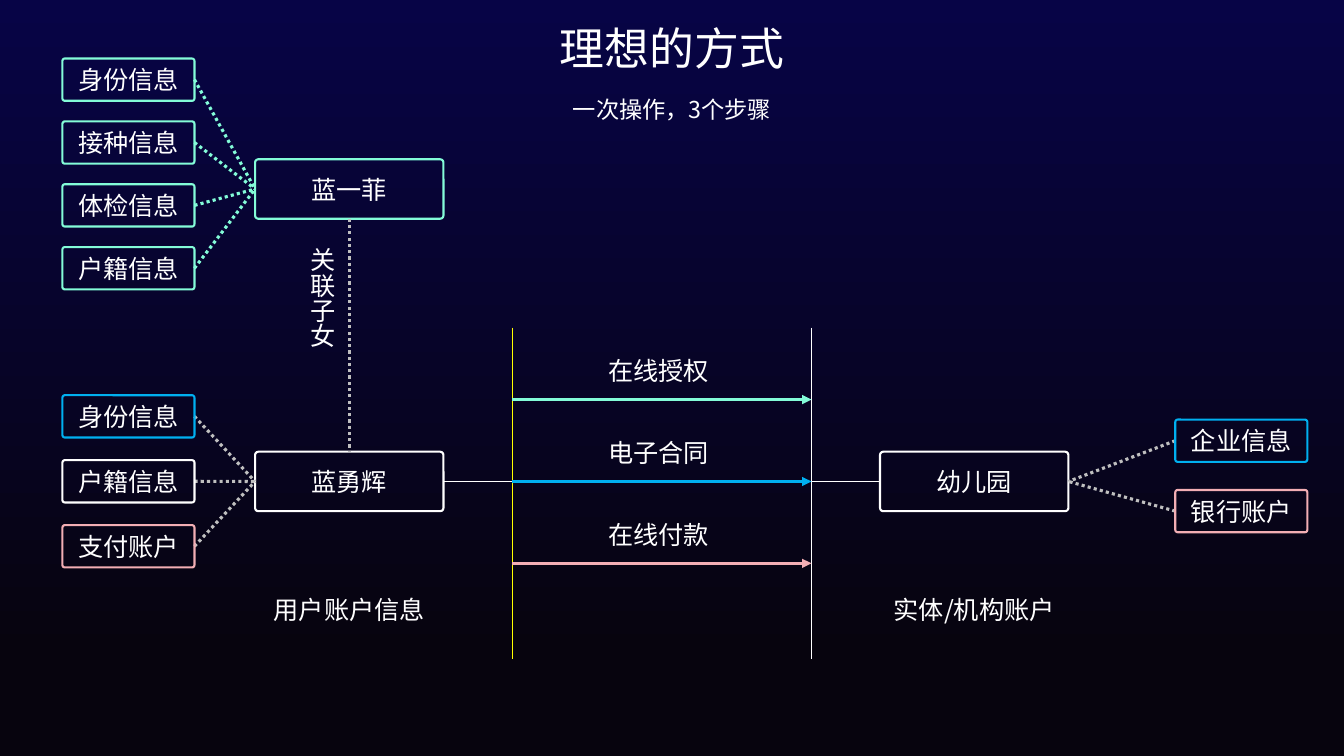
from dataclasses import dataclass

from pptx import Presentation
from pptx.dml.color import RGBColor
from pptx.enum.dml import MSO_LINE
from pptx.enum.shapes import MSO_CONNECTOR, MSO_SHAPE
from pptx.enum.text import MSO_ANCHOR, PP_ALIGN
from pptx.oxml.ns import qn
from pptx.util import Pt
from lxml.etree import SubElement


@dataclass(frozen=True)
class Theme:
    font: str = "Noto Sans CJK SC"
    title_size: float = 32
    subtitle_size: float = 16.6
    body_size: float = 18
    sky: str = "070446"
    night: str = "07040E"
    white: str = "FFFFFF"
    gray: str = "BFBFBF"
    yellow: str = "FFFF00"
    mint: str = "83FCD8"
    blue: str = "00B0F0"
    pink: str = "F2AEB4"


class Diagram:
    """Draws themed elements on one page, with all lengths in points."""

    def __init__(self, page, theme):
        self.page = page
        self.theme = theme

    def background(self):
        fill = self.page.background.fill
        fill.gradient()
        fill.gradient_angle = 270
        stops = ((0, self.theme.sky), (0.87, self.theme.night))
        for stop, (position, color) in zip(fill.gradient_stops, stops):
            stop.position = position
            stop.color.rgb = RGBColor.from_string(color)

    def set_text(self, box, text, size, anchor, spacing=1.0):
        frame = box.text_frame
        frame.word_wrap = True
        frame.vertical_anchor = anchor
        para = frame.paragraphs[0]
        para.text = text
        para.alignment = PP_ALIGN.CENTER
        para.line_spacing = spacing
        para.space_before = Pt(0)
        para.font.name = self.theme.font
        para.font.size = Pt(size)
        para.font.color.rgb = RGBColor.from_string(self.theme.white)
        properties = para._p.pPr.find(qn("a:defRPr"))
        SubElement(properties, qn("a:ea"), typeface=self.theme.font)

    def title(self, text, left, top, width, height):
        box = self.page.shapes.title
        box.left, box.top, box.width, box.height = map(Pt, (left, top, width, height))
        self.set_text(box, text, self.theme.title_size, MSO_ANCHOR.MIDDLE, 0.9)

    def label(self, text, left, top, width, height, size=None,
              anchor=MSO_ANCHOR.TOP, spacing=1.0, vertical=False):
        box = self.page.shapes.add_textbox(*map(Pt, (left, top, width, height)))
        self.set_text(box, text, size or self.theme.body_size, anchor, spacing)
        if vertical:
            box.text_frame._txBody.bodyPr.set("vert", "eaVert")

    def card(self, text, left, middle, width, height, color):
        box = self.page.shapes.add_shape(
            MSO_SHAPE.ROUNDED_RECTANGLE,
            *map(Pt, (left, middle - height / 2, width, height)))
        box.adjustments[0] = 0.055
        box.shadow.inherit = False
        box.fill.background()
        box.line.color.rgb = RGBColor.from_string(color)
        box.line.width = Pt(1.5)
        self.set_text(box, text, self.theme.body_size, MSO_ANCHOR.MIDDLE)

    def line(self, start, end, color, width=2.25, dotted=False, arrow=False):
        link = self.page.shapes.add_connector(
            MSO_CONNECTOR.STRAIGHT, *map(Pt, (*start, *end)))
        link.line.color.rgb = RGBColor.from_string(color)
        link.line.width = Pt(width)
        if dotted:
            link.line.dash_style = MSO_LINE.ROUND_DOT
        if arrow:
            SubElement(link.line._get_or_add_ln(), qn("a:tailEnd"), type="triangle")
        SubElement(link._element.spPr, qn("a:effectLst"))


def main():
    theme = Theme()
    deck = Presentation()
    deck.slide_width, deck.slide_height = Pt(960), Pt(540)
    diagram = Diagram(deck.slides.add_slide(deck.slide_layouts[5]), theme)
    diagram.background()
    diagram.title("理想的方式", 64, 11.5, 832, 50.4)
    diagram.label("一次操作，3个步骤", 64, 67.7, 832, 23.8,
                  theme.subtitle_size, MSO_ANCHOR.MIDDLE, 0.8)

    node_width, node_height = 134.6, 42.5
    tag_width, tag_height = 94.3, 30.2
    user_left, entity_left = 182.2, 628.6
    user_right, entity_right = user_left + node_width, entity_left + node_width
    tag_left, entity_tag_left = 44.6, 839.5
    child_middle, main_middle = 135, 343.9
    lane_left, lane_right = 365.8, 579.6

    nodes = (("蓝一菲", user_left, child_middle, theme.mint),
             ("蓝勇辉", user_left, main_middle, theme.white),
             ("幼儿园", entity_left, main_middle, theme.white))
    for text, left, middle, color in nodes:
        diagram.card(text, left, middle, node_width, node_height, color)

    child_tags = [(text, theme.mint)
                  for text in ("身份信息", "接种信息", "体检信息", "户籍信息")]
    user_tags = [("身份信息", theme.blue), ("户籍信息", theme.white),
                 ("支付账户", theme.pink)]
    entity_tags = [("企业信息", theme.blue), ("银行账户", theme.pink)]
    tag_right = tag_left + tag_width
    groups = (
        (child_tags, tag_left, tag_right, 56.9, 44.9,
         (user_left, child_middle), theme.mint),
        (user_tags, tag_left, tag_right, 297.4, 46.4,
         (user_left, main_middle), theme.gray),
        (entity_tags, entity_tag_left, entity_tag_left, 314.8, 50.3,
         (entity_right, main_middle), theme.gray),
    )
    for tags, left, edge, first, pitch, hub, link_color in groups:
        for index, (text, color) in enumerate(tags):
            middle = first + index * pitch
            diagram.line((edge, middle), hub, link_color, dotted=True)
            diagram.card(text, left, middle, tag_width, tag_height, color)

    user_center = user_left + node_width / 2
    diagram.line((user_center, child_middle + node_height / 2),
                 (user_center, main_middle - node_height / 2), theme.gray, dotted=True)
    diagram.label("关联子女", 208.8, 169.9, 36, 129.6, vertical=True)

    for start, end in ((user_right, lane_left), (lane_right, entity_left)):
        diagram.line((start, main_middle), (end, main_middle), theme.white, 0.5)
    for lane, color in ((lane_left, theme.yellow), (lane_right, theme.white)):
        diagram.line((lane, 234), (lane, 470.9), color, 0.5)

    steps = (("在线授权", theme.mint), ("电子合同", theme.blue), ("在线付款", theme.pink))
    for index, (text, color) in enumerate(steps):
        middle = main_middle + (index - 1) * 58.5
        diagram.line((lane_left, middle), (lane_right, middle), color, arrow=True)
        diagram.label(text, 404.6, middle - 34.9, 131.8, 29.1)

    for text, left in (("用户账户信息", user_left), ("实体/机构账户", entity_left)):
        diagram.label(text, left - 5.8, 421.2, 146.2, 29.1)

    deck.save("out.pptx")


if __name__ == "__main__":
    main()
